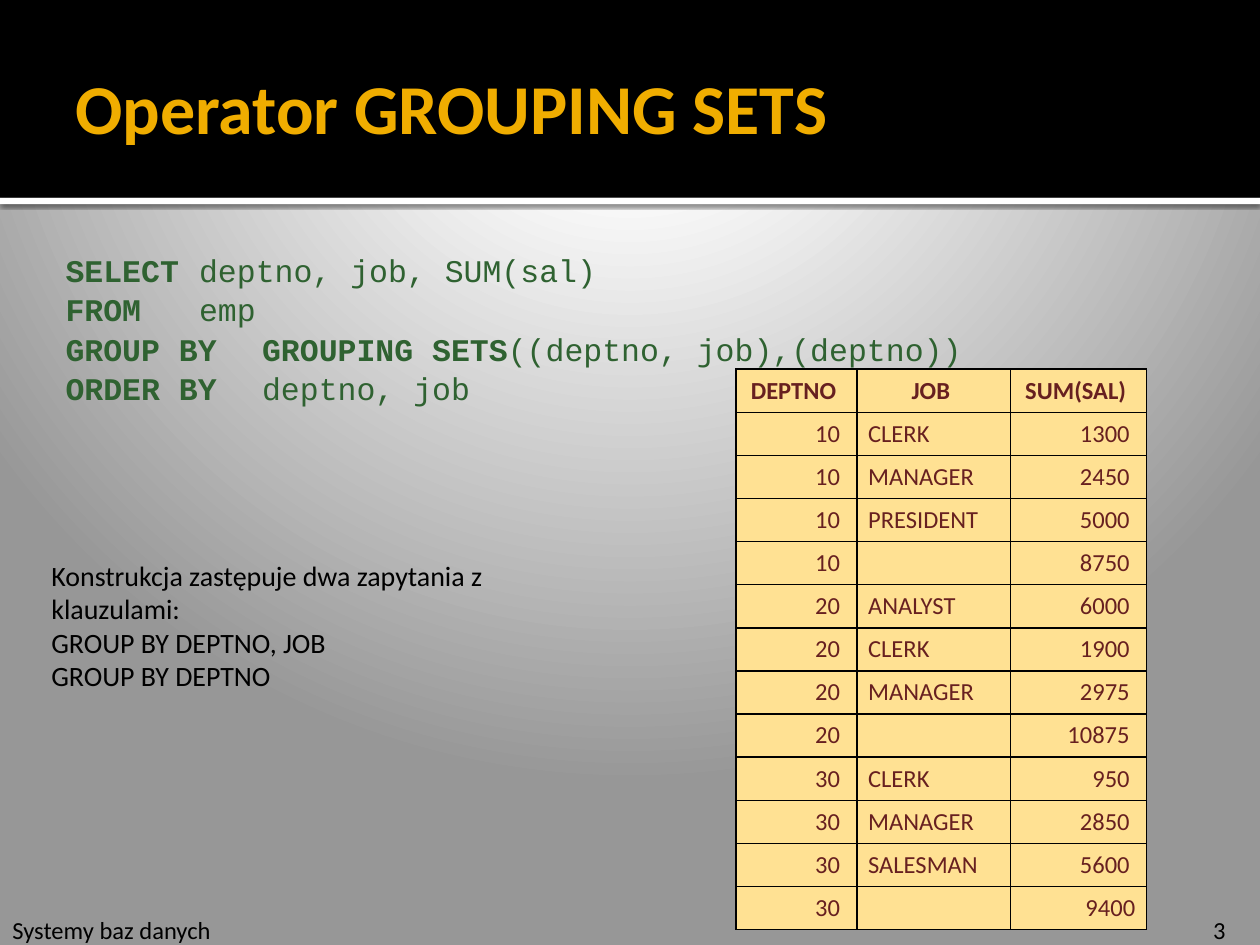
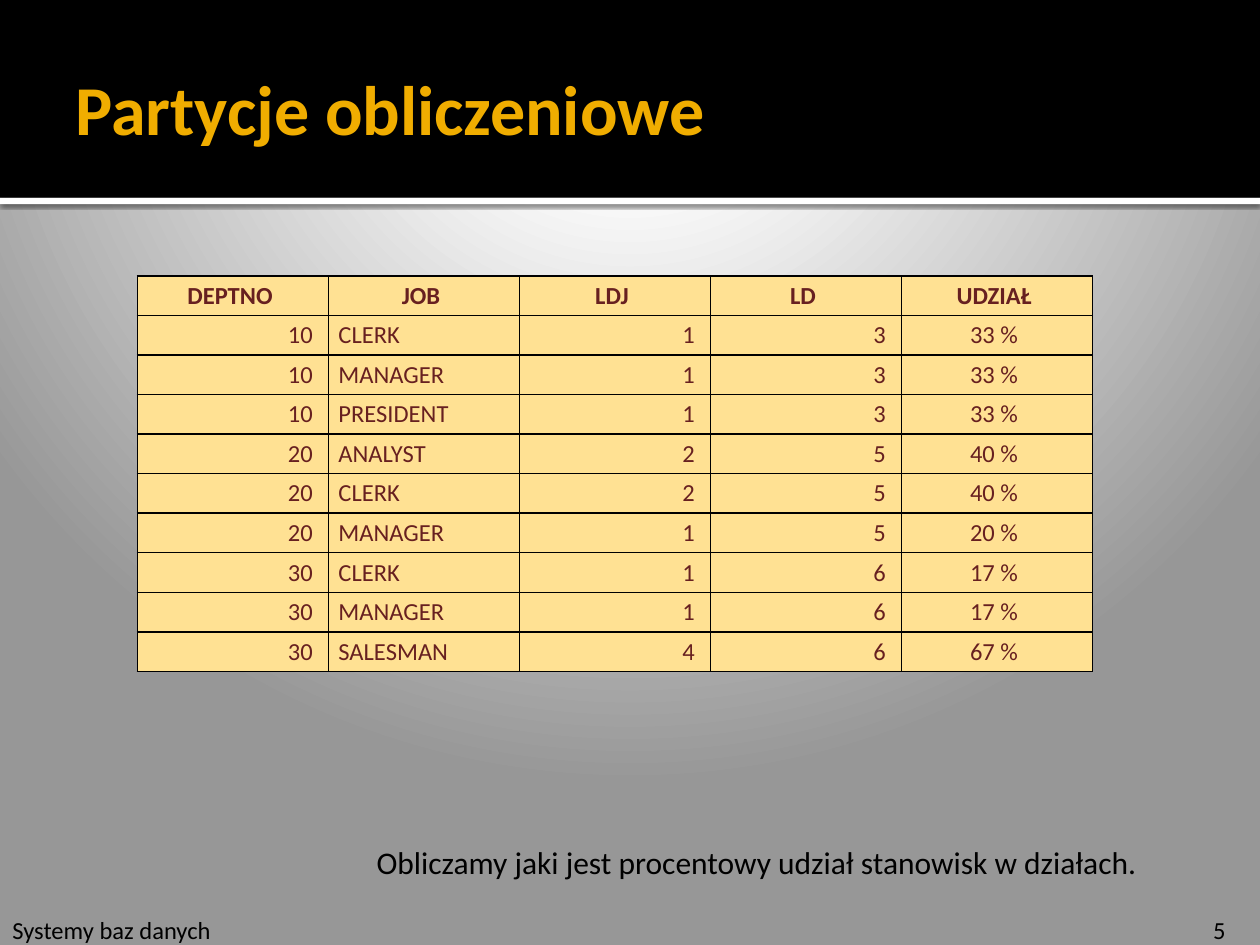
import pptx
import pptx.util
import pptx.oxml
import pptx.oxml.ns
from pptx.dml.color import RGBColor
from pptx.enum.shapes import MSO_SHAPE
from pptx.enum.text import MSO_ANCHOR, PP_ALIGN
from pptx.util import Inches

# Content
FOOTER = "Systemy baz danych"
QUERY = [  # (bold part, plain part)
    ("SELECT\t", "deptno, job, SUM(sal)"),
    ("FROM\t", "emp"),
    ("GROUP BY\tGROUPING SETS", "((deptno, job),(deptno))"),
    ("ORDER BY\t", "deptno, job"),
]
EXPLANATION = [
    "Konstrukcja zastępuje dwa zapytania z klauzulami:",
    "GROUP BY DEPTNO, JOB",
    "GROUP BY DEPTNO",
]
SALARY_SUMS = [
    ("DEPTNO", "JOB", "SUM(SAL)"),
    (10, "CLERK", 1300),
    (10, "MANAGER", 2450),
    (10, "PRESIDENT", 5000),
    (10, "", 8750),
    (20, "ANALYST", 6000),
    (20, "CLERK", 1900),
    (20, "MANAGER", 2975),
    (20, "", 10875),
    (30, "CLERK", 950),
    (30, "MANAGER", 2850),
    (30, "SALESMAN", 5600),
    (30, "", "9400"),
]
JOB_SHARES = [
    ("DEPTNO", "JOB", "LDJ", "LD", "UDZIAŁ"),
    (10, "CLERK", 1, 3, "33 % "),
    (10, "MANAGER", 1, 3, "33 % "),
    (10, "PRESIDENT", 1, 3, "33 % "),
    (20, "ANALYST", 2, 5, "40 % "),
    (20, "CLERK", 2, 5, "40 % "),
    (20, "MANAGER", 1, 5, "20 % "),
    (30, "CLERK", 1, 6, "17 % "),
    (30, "MANAGER", 1, 6, "17 % "),
    (30, "SALESMAN", 4, 6, "67 % "),
]
SHARE_NOTE = "Obliczamy jaki jest procentowy udział stanowisk w działach."

# Shared look
BLACK = RGBColor(0x00, 0x00, 0x00)
WHITE = RGBColor(0xFF, 0xFF, 0xFF)
GOLD = RGBColor(0xF0, 0xAD, 0x00)
CODE_GREEN = RGBColor(0x2F, 0x62, 0x31)
TABLE_BROWN = RGBColor(0x67, 0x20, 0x20)
TABLE_SAND = RGBColor(0xFF, 0xE1, 0x93)
BODY_FONT, CODE_FONT = "Calibri", "Courier New"
LEFT, CENTER, RIGHT = PP_ALIGN.LEFT, PP_ALIGN.CENTER, PP_ALIGN.RIGHT
BAND_HEIGHT = 1.57

NAMESPACE = pptx.oxml.ns.nsdecls("a")
BACKGROUND_XML = f"""<a:gradFill {NAMESPACE} rotWithShape="1"><a:gsLst>
<a:gs pos="0"><a:srgbClr val="{WHITE}"/></a:gs>
<a:gs pos="20000"><a:srgbClr val="{WHITE}"/></a:gs>
<a:gs pos="100000"><a:srgbClr val="979797"/></a:gs></a:gsLst>
<a:path path="circle"><a:fillToRect l="10000" t="-25000" r="10000" b="125000"/></a:path>
</a:gradFill>"""
SHADOW_XML = f"""<a:effectLst {NAMESPACE}>
<a:outerShdw blurRad="31750" dist="10160" dir="5400000" algn="tl" rotWithShape="0">
<a:srgbClr val="{BLACK}"><a:alpha val="60000"/></a:srgbClr></a:outerShdw></a:effectLst>"""
TABS_XML = f'<a:tabLst {NAMESPACE}><a:tab pos="{Inches(1.66)}" algn="l"/></a:tabLst>'


def style_run(span, size, color, bold=False, font=BODY_FONT):
    span.font.name = font
    span.font.size = pptx.util.Pt(size)
    span.font.bold = bold
    span.font.color.rgb = color


def set_insets(target, left, top, right, bottom):
    target.margin_left, target.margin_top = Inches(left), Inches(top)
    target.margin_right, target.margin_bottom = Inches(right), Inches(bottom)


def add_text(page, lines, place, size, color=BLACK, bold=False):
    box = page.shapes.add_textbox(*map(Inches, place))
    box.text_frame.word_wrap = True
    box.text_frame.text = "\n".join(lines)
    for para in box.text_frame.paragraphs:
        for span in para.runs:
            style_run(span, size, color, bold)
    return box


def add_band(page, top, height, color):
    band = page.shapes.add_shape(
        MSO_SHAPE.RECTANGLE, 0, Inches(top), Inches(10), Inches(height))
    band.shadow.inherit = False
    band.fill.solid()
    band.fill.fore_color.rgb = color
    band.line.fill.background()
    return band


def add_page(deck, title, title_place, number):
    page = deck.slides.add_slide(deck.slide_layouts[6])

    # Radial background
    page.background.fill.gradient()
    gradient = page.element.find(".//" + pptx.oxml.ns.qn("a:gradFill"))
    gradient.getparent().replace(gradient, pptx.oxml.parse_xml(BACKGROUND_XML))

    # White strip with a shadow under the black title band
    strip = add_band(page, BAND_HEIGHT, 0.05, WHITE)
    effects = strip.element.spPr.find(pptx.oxml.ns.qn("a:effectLst"))
    effects.getparent().replace(effects, pptx.oxml.parse_xml(SHADOW_XML))
    add_band(page, 0, BAND_HEIGHT, BLACK)

    # Footer and title
    add_text(page, [FOOTER], (0, 7.21, 2.87, 0.34), 14)
    add_text(page, [str(number)], (9.53, 7.21, 0.47, 0.34), 14)
    heading = add_text(page, [title], title_place, 40, GOLD, True).text_frame
    heading.vertical_anchor = MSO_ANCHOR.MIDDLE
    set_insets(heading, 0.1, 0.05, 0.05, 0.05)
    return page


def add_query(page, place):
    box = page.shapes.add_textbox(*map(Inches, place))
    frame = box.text_frame
    frame.word_wrap = True
    set_insets(frame, 0.06, 0.13, 0.1, 0.05)
    for index, parts in enumerate(QUERY):
        para = frame.add_paragraph() if index else frame.paragraphs[0]
        para.space_before = pptx.util.Pt(1)
        for text, bold in zip(parts, (True, False)):
            span = para.add_run()
            span.text = text
            style_run(span, 18, CODE_GREEN, bold, CODE_FONT)
        properties = para._p.get_or_add_pPr()
        properties.set("marL", str(Inches(0.69)))
        properties.set("indent", str(Inches(-0.56)))
        properties.append(pptx.oxml.parse_xml(TABS_XML))


def add_borders(cell):
    properties = cell._tc.get_or_add_tcPr()
    for index, side in enumerate("LRTB"):
        properties.insert(index, pptx.oxml.parse_xml(
            f'<a:ln{side} {NAMESPACE} w="12700"><a:solidFill>'
            f'<a:srgbClr val="{BLACK}"/></a:solidFill></a:ln{side}>'))


def fill_cell(cell, value, align, header, side_inset):
    # Headers and numbers keep one space of air before the border
    cell.text = f"{value} " if header or isinstance(value, int) else value
    cell.vertical_anchor = MSO_ANCHOR.MIDDLE
    set_insets(cell, side_inset, 0.04, side_inset, 0.04)
    cell.fill.solid()
    cell.fill.fore_color.rgb = TABLE_SAND
    add_borders(cell)
    para = cell.text_frame.paragraphs[0]
    para.alignment = CENTER if header else align
    for span in para.runs:
        style_run(span, 14, TABLE_BROWN, header)
    if not para.runs:
        para._p.append(pptx.oxml.parse_xml(f'<a:endParaRPr {NAMESPACE} sz="1400"/>'))


def add_data_table(page, rows, place, widths, aligns, side_inset):
    table = page.shapes.add_table(len(rows), len(widths), *map(Inches, place)).table
    table.first_row = table.horz_banding = False
    for column, width in zip(table.columns, widths):
        column.width = Inches(width)
    for row_index, values in enumerate(rows):
        table.rows[row_index].height = Inches(place[3] / len(rows))
        for column_index, (value, align) in enumerate(zip(values, aligns)):
            fill_cell(table.cell(row_index, column_index), value, align,
                      row_index == 0, side_inset)


def main():
    deck = pptx.Presentation()
    deck.slide_width, deck.slide_height = Inches(10), Inches(7.5)

    # GROUPING SETS query and its result
    page = add_page(deck, "Operator GROUPING SETS", (0.5, 0.46, 9, 0.77), 3)
    add_query(page, (0.33, 1.86, 7.82, 1.36))
    add_text(page, EXPLANATION, (0.31, 4.38, 4.06, 1.18), 16)
    add_data_table(page, SALARY_SUMS, (5.84, 2.93, 3.25, 4.45),
                   (0.96, 1.22, 1.08), (RIGHT, LEFT, RIGHT), 0.09)

    # Share of each job in its department
    page = add_page(deck, "Partycje obliczeniowe", (0.5, 0.39, 9.5, 0.92), 5)
    add_text(page, [SHARE_NOTE], (2.89, 6.64, 6.95, 0.4), 18)
    add_data_table(page, JOB_SHARES, (1.09, 2.19, 7.58, 3.14),
                   [7.58 / 5] * 5, (RIGHT, LEFT, RIGHT, RIGHT, CENTER), 0.08)

    deck.save("out.pptx")


if __name__ == "__main__":
    main()
